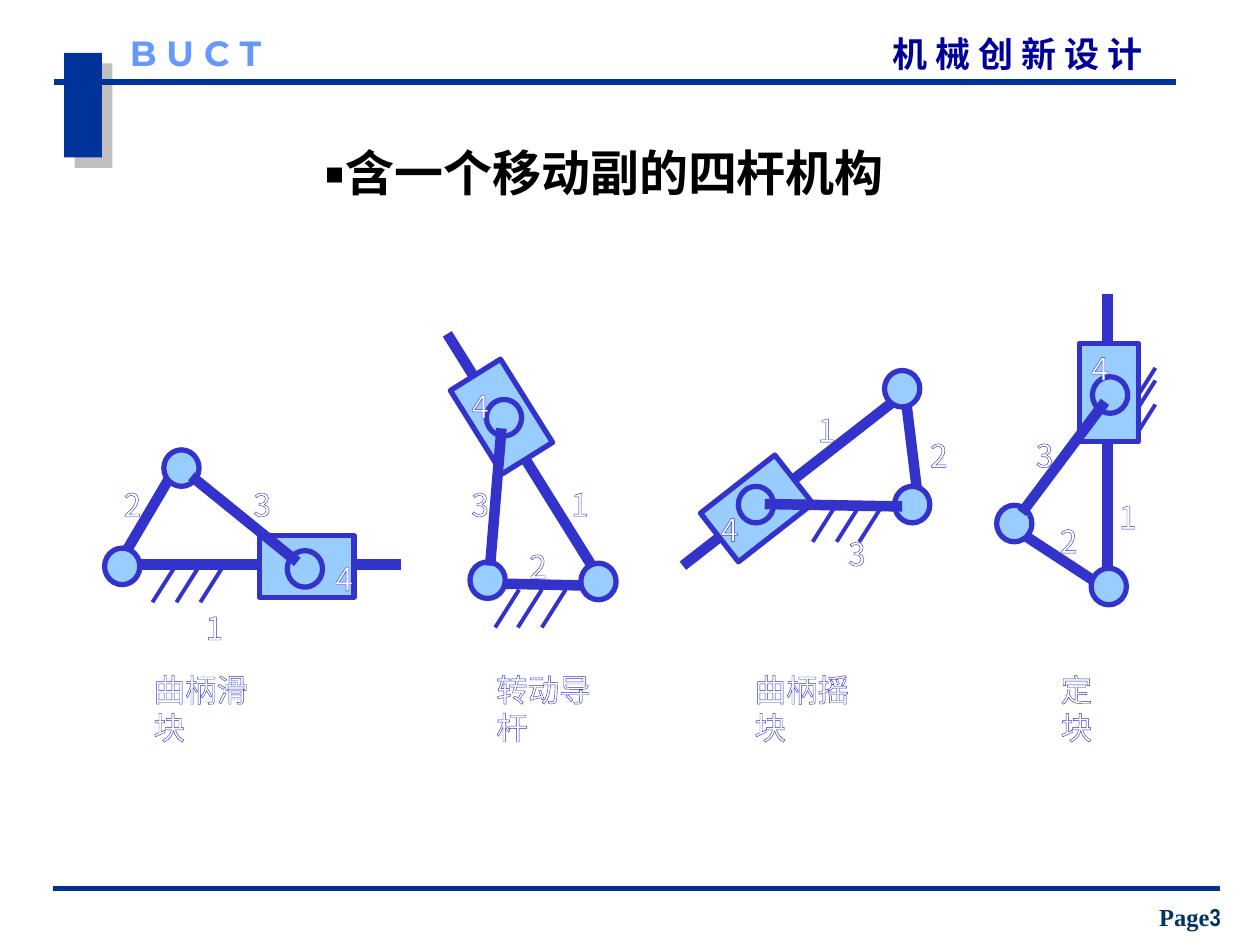
from dataclasses import dataclass

from lxml import etree
from pptx import Presentation
from pptx.dml.color import RGBColor
from pptx.enum.shapes import MSO_CONNECTOR, MSO_SHAPE
from pptx.enum.text import MSO_ANCHOR, PP_ALIGN
from pptx.oxml.ns import qn
from pptx.util import Emu, Pt

PX = 9144  # 100 px to the inch
STRAIGHT = MSO_CONNECTOR.STRAIGHT
RECT, OVAL = MSO_SHAPE.RECTANGLE, MSO_SHAPE.OVAL
TOP, MIDDLE, BOTTOM = MSO_ANCHOR.TOP, MSO_ANCHOR.MIDDLE, MSO_ANCHOR.BOTTOM
LEFT, CENTER = PP_ALIGN.LEFT, PP_ALIGN.CENTER


@dataclass(frozen=True)
class Theme:
    navy: str = "003399"
    shadow: str = "808080"
    course: str = "000099"
    school: str = "6699FF"
    page: str = "003366"
    title: str = "000000"
    stroke: str = "3333CC"
    fill: str = "99CCFF"
    label: str = "FFFFFF"
    cjk: str = "Noto Sans CJK SC"
    serif: str = "Times New Roman"
    header_pt: int = 20
    bullet_pt: int = 24
    title_pt: int = 28
    label_pt: int = 18
    page_pt: int = 14
    bar_pt: float = 6
    edge_pt: float = 3
    hatch_pt: float = 2.25
    outline_pt: float = 0.75


T = Theme()
PIN = (28, 29)
HATCH = (-19, 30)
LABEL = (14, 29)

# Each mechanism: ground hatch starts, bars, slider box and rotation,
# pin corners, coupler drawn on top, numbered labels, caption box
MECHANISMS = [
    dict(hatch=[(140, 448), (159, 448), (178, 448)],
         bars=[(140, 370, 94, 448), (94, 448, 318, 448)],
         slider=(206, 425, 75, 49), angle=0,
         pins=[(228, 437), (130, 357), (83, 435)],
         coupler=(152, 378, 236, 446),
         labels=[("1", 159, 478), ("2", 94, 380), ("3", 197, 380), ("4", 262, 439)],
         caption=("曲柄滑块", 112, 112)),
    dict(hatch=[(412, 468), (430, 468), (449, 468)],
         bars=[(388, 463, 477, 465), (479, 464, 355, 265)],
         slider=(359, 307, 78, 47), angle=238,
         pins=[(386, 317), (373, 446), (461, 447)],
         coupler=(389, 449, 398, 340),
         labels=[("1", 449, 380), ("2", 416, 429), ("3", 370, 380), ("4", 370, 302)],
         caption=("转动导杆", 384, 112)),
    dict(hatch=[(664, 400), (683, 400), (701, 400)],
         bars=[(729, 399, 718, 309), (719, 311, 542, 449)],
         slider=(563, 379, 75, 49), angle=142,
         pins=[(586, 386), (710, 386), (702, 294)],
         coupler=(716, 402, 607, 400),
         labels=[("1", 645, 321), ("2", 734, 341), ("3", 669, 419), ("4", 568, 400)],
         caption=("曲柄摇块", 589, 112)),
    dict(hatch=[(917, 292), (917, 302), (917, 321)],
         bars=[(804, 419, 879, 468), (879, 468, 879, 233)],
         slider=(841, 288, 78, 47), angle=270,
         pins=[(867, 299), (791, 401), (866, 451)],
         coupler=(811, 407, 877, 319),
         labels=[("1", 884, 390), ("2", 837, 409), ("3", 818, 341), ("4", 862, 272)],
         caption=("定块", 832, 56)),
]


def px(*values):
    return [Emu(v * PX) for v in values]


def rgb(value):
    return RGBColor.from_string(value)


def add_line(shapes, ends, color, width):
    line = shapes.add_connector(STRAIGHT, *px(*ends))
    line.line.color.rgb = rgb(color)
    line.line.width = Pt(width)
    etree.SubElement(line._element.spPr, qn("a:effectLst"))


def add_solid(shapes, kind, box, fill, stroke=None, angle=0):
    s = shapes.add_shape(kind, *px(*box))
    s.shadow.inherit = False
    s.rotation = angle
    s.fill.solid()
    s.fill.fore_color.rgb = rgb(fill)
    if stroke:
        s.line.color.rgb = rgb(stroke)
        s.line.width = Pt(T.edge_pt)
    else:
        s.line.fill.background()
    return s


def add_text(shapes, box, runs, color, bold=True, insets=(0, 0, 0, 0),
             anchor=TOP, align=LEFT, wrap=True):
    """Add one paragraph; runs are (text, size, font) tuples."""
    tf = shapes.add_textbox(*px(*box)).text_frame
    tf.word_wrap = wrap
    tf.vertical_anchor = anchor
    tf.margin_left, tf.margin_top, tf.margin_right, tf.margin_bottom = px(*insets)
    p = tf.paragraphs[0]
    p.alignment = align
    for text, size, font in runs:
        r = p.add_run()
        r.text = text
        r.font.size, r.font.bold, r.font.name = Pt(size), bold, font
        r.font.color.rgb = rgb(color)
        etree.SubElement(r.font._element, qn("a:ea"), typeface=font)
    return p


def add_label(shapes, text, box):
    """Add white lettering with a thin coloured outline."""
    p = add_text(shapes, box, [(text, T.label_pt, T.cjk)], T.label, bold=False,
                 insets=(10, 5, 10, 5), wrap=False)
    ln = etree.Element(qn("a:ln"), w=str(Pt(T.outline_pt)))
    fill = etree.SubElement(ln, qn("a:solidFill"))
    etree.SubElement(fill, qn("a:srgbClr"), val=T.stroke)
    p.runs[0].font._element.insert(0, ln)


def add_block_shadow(s):
    effects = s._element.spPr.find(qn("a:effectLst"))
    shadow = etree.SubElement(effects, qn("a:outerShdw"), dist=str(Pt(8.5)),
                              dir=str(45 * 60000), algn="ctr", rotWithShape="0")
    color = etree.SubElement(shadow, qn("a:srgbClr"), val=T.shadow)
    etree.SubElement(color, qn("a:alpha"), val="50000")


def add_frame(shapes):
    # Header block, rules and header lettering
    add_block_shadow(add_solid(shapes, RECT, (51, 42, 30, 83), T.navy))
    for ends in ((43, 65, 933, 65), (42, 705, 968, 705)):
        add_line(shapes, ends, T.navy, T.edge_pt)
    add_text(shapes, (544, 26, 410, 33), [("机 械 创 新 设 计", T.header_pt, T.cjk)],
             T.course, insets=(164, 0, 0, 0))
    add_text(shapes, (103, 25, 142, 33), [("B U C T", T.header_pt, "Montserrat")], T.school)
    # Page number
    add_text(shapes, (897, 711, 95, 33),
             [("Page", T.page_pt, T.serif), ("3", T.page_pt, "Arial Narrow")],
             T.page, insets=(10, 5, 10, 5), anchor=BOTTOM, align=CENTER)


def add_mechanism(shapes, m):
    group = shapes.add_group_shape().shapes
    for x, y in m["hatch"]:
        add_line(group, (x, y, x + HATCH[0], y + HATCH[1]), T.stroke, T.hatch_pt)
    for bar in m["bars"]:
        add_line(group, bar, T.stroke, T.bar_pt)
    add_solid(group, RECT, m["slider"], T.fill, T.stroke, m["angle"])
    for corner in m["pins"]:
        add_solid(group, OVAL, (*corner, *PIN), T.fill, T.stroke)
    add_line(group, m["coupler"], T.stroke, T.bar_pt)
    for text, x, y in m["labels"]:
        add_label(group, text, (x, y, *LABEL))
    caption, x, width = m["caption"]
    add_label(group, caption, (x, 527, width, LABEL[1]))


def main():
    prs = Presentation()
    prs.slide_width, prs.slide_height = px(1000, 750)
    shapes = prs.slides.add_slide(prs.slide_layouts[6]).shapes
    add_frame(shapes)
    # Title
    add_text(shapes, (100, 123, 759, 27),
             [("￭", T.bullet_pt, T.serif), ("含一个移动副的四杆机构", T.title_pt, T.cjk)],
             T.title, anchor=MIDDLE, align=CENTER)
    # Four linkages
    for m in MECHANISMS:
        add_mechanism(shapes, m)
    prs.save("out.pptx")


if __name__ == "__main__":
    main()
